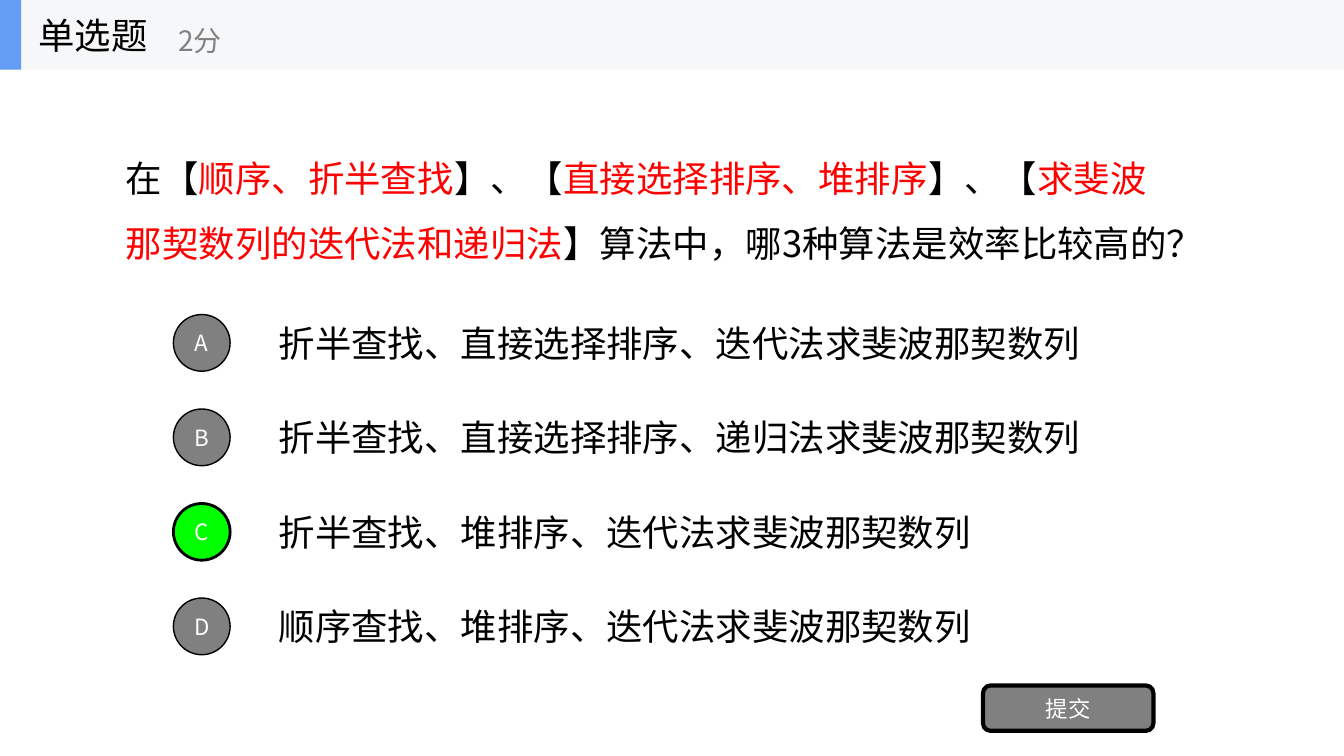
from dataclasses import dataclass

from lxml.etree import SubElement
from pptx import Presentation
from pptx.dml.color import RGBColor
from pptx.enum.lang import MSO_LANGUAGE_ID
from pptx.enum.shapes import MSO_SHAPE
from pptx.enum.text import MSO_ANCHOR, MSO_AUTO_SIZE, PP_ALIGN
from pptx.oxml.ns import qn
from pptx.util import Inches, Pt


@dataclass(frozen=True)
class Theme:
    font: str = "Noto Sans CJK SC"
    ink: str = "000000"
    highlight: str = "FF0000"
    muted: str = "808080"
    correct: str = "00FF00"
    light: str = "FFFFFF"
    band: str = "F6F7F8"
    accent: str = "639EF4"
    body_size: int = 26
    score_size: int = 20
    button_size: int = 16


THEME = Theme()
WIDTH, HEIGHT = Inches(13.33), Inches(7.5)

# Question runs alternate between plain and highlighted text
QUESTION = ["在【", "顺序、折半查找", "】、【", "直接选择排序、堆排序", "】、【",
            "求斐波那契数列的迭代法和递归法", "】算法中，哪3种算法是效率比较高的？"]
OPTIONS = {
    "A": "折半查找、直接选择排序、迭代法求斐波那契数列",
    "B": "折半查找、直接选择排序、递归法求斐波那契数列",
    "C": "折半查找、堆排序、迭代法求斐波那契数列",
    "D": "顺序查找、堆排序、迭代法求斐波那契数列",
}
ANSWER = "C"
OPTION_PITCH = 12.5


def area(left, top, width, height):
    """Turn percentages of the slide into lengths."""
    return (round(WIDTH * left / 100), round(HEIGHT * top / 100),
            round(WIDTH * width / 100), round(HEIGHT * height / 100))


def write(holder, runs, size=THEME.body_size, colors=(THEME.ink,),
          align=PP_ALIGN.LEFT, spacing=1.0):
    """Write runs as one paragraph, cycling through the colours."""
    frame = holder.text_frame
    frame.word_wrap = True
    frame.auto_size = MSO_AUTO_SIZE.NONE
    frame.vertical_anchor = MSO_ANCHOR.MIDDLE
    paragraph = frame.paragraphs[0]
    paragraph.alignment = align
    paragraph.line_spacing = spacing
    for index, text in enumerate(runs):
        run = paragraph.add_run()
        run.text = text
        run.font.size = Pt(size)
        run.font.name = THEME.font
        run.font.language_id = MSO_LANGUAGE_ID.SIMPLIFIED_CHINESE
        run.font.color.rgb = RGBColor.from_string(colors[index % len(colors)])
        SubElement(run.font._element, qn("a:ea"), typeface=THEME.font)


def add_text(slide, place, runs, **style):
    write(slide.shapes.add_textbox(*area(*place)), runs, **style)


def add_block(slide, kind, place, fill, outline=0):
    block = slide.shapes.add_shape(kind, *area(*place))
    block.shadow.inherit = False
    block.fill.solid()
    block.fill.fore_color.rgb = RGBColor.from_string(fill)
    if outline:
        block.line.color.rgb = RGBColor.from_string(THEME.ink)
        block.line.width = Pt(outline)
    else:
        block.line.fill.background()
    return block


def add_button(slide, kind, place, label, fill, outline):
    button = add_block(slide, kind, place, fill, outline)
    frame = button.text_frame
    frame.margin_left = frame.margin_right = 0
    write(button, [label], size=THEME.button_size, colors=(THEME.light,),
          align=PP_ALIGN.CENTER)


def add_header(slide):
    add_block(slide, MSO_SHAPE.RECTANGLE, (0, 0, 100, 9.2), THEME.band)
    add_block(slide, MSO_SHAPE.RECTANGLE, (0, 0, 1.58, 9.2), THEME.accent)
    # Bring the title in front of the band
    title = slide.shapes.title
    slide.shapes._spTree.append(title._element)
    title.left, title.top, title.width, title.height = area(2.1, 0, 15.6, 9.2)
    write(title, ["单选题"])
    add_text(slide, (12.53, 1.6, 18.75, 7.5), ["2分"],
             size=THEME.score_size, colors=(THEME.muted,))


def add_option(slide, row, letter, text):
    shift = row * OPTION_PITCH
    correct = letter == ANSWER
    add_text(slide, (20, 40.67 + shift, 70, 9.33), [text])
    add_button(slide, MSO_SHAPE.OVAL, (12.9, 41.6 + shift, 4.22, 7.5), letter,
               THEME.correct if correct else THEME.muted, 2 if correct else 1)


def main():
    deck = Presentation()
    deck.slide_width, deck.slide_height = WIDTH, HEIGHT
    slide = deck.slides.add_slide(deck.slide_layouts.get_by_name("Title Only"))
    add_header(slide)
    # Question and answer choices
    add_text(slide, (8.63, 12.8, 80, 27.2), QUESTION,
             colors=(THEME.ink, THEME.highlight), spacing=1.5)
    for row, (letter, text) in enumerate(OPTIONS.items()):
        add_option(slide, row, letter, text)
    add_button(slide, MSO_SHAPE.ROUNDED_RECTANGLE, (73.14, 90.67, 12.68, 6),
               "提交", THEME.muted, 3)
    deck.save("out.pptx")


if __name__ == "__main__":
    main()
